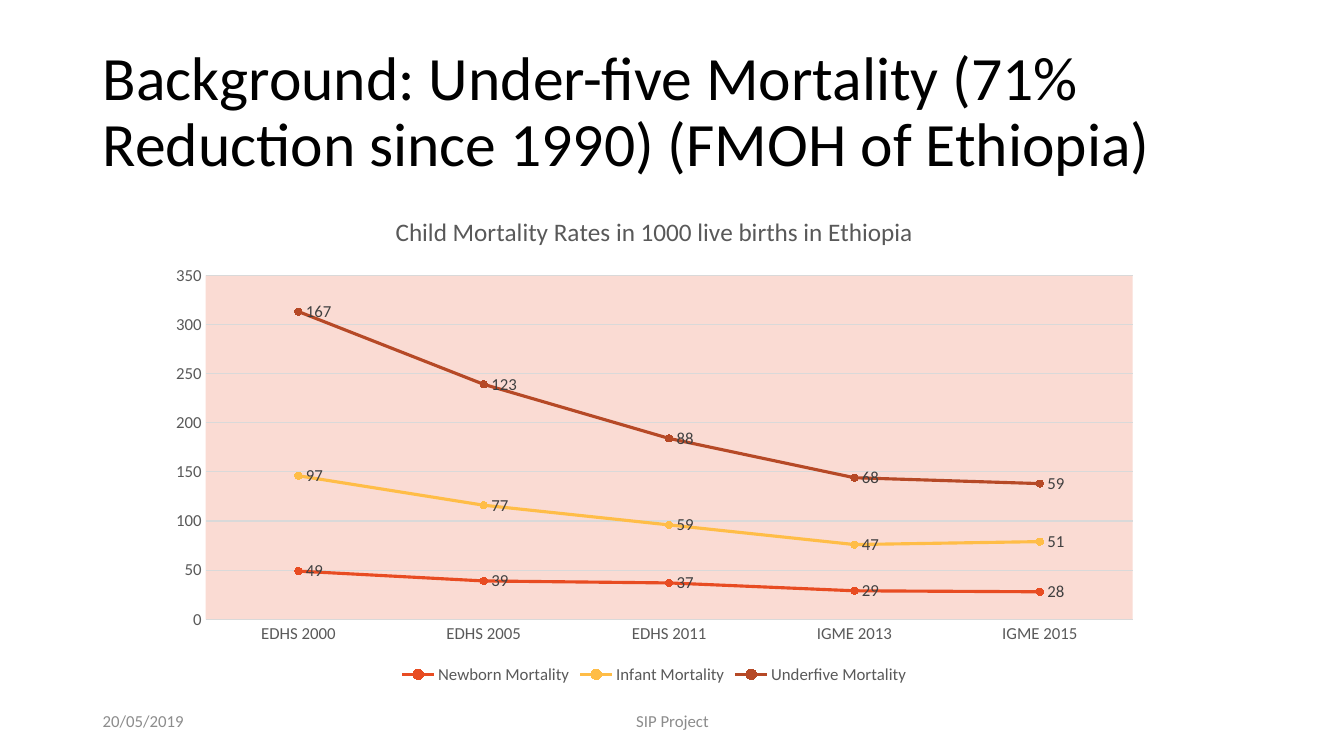
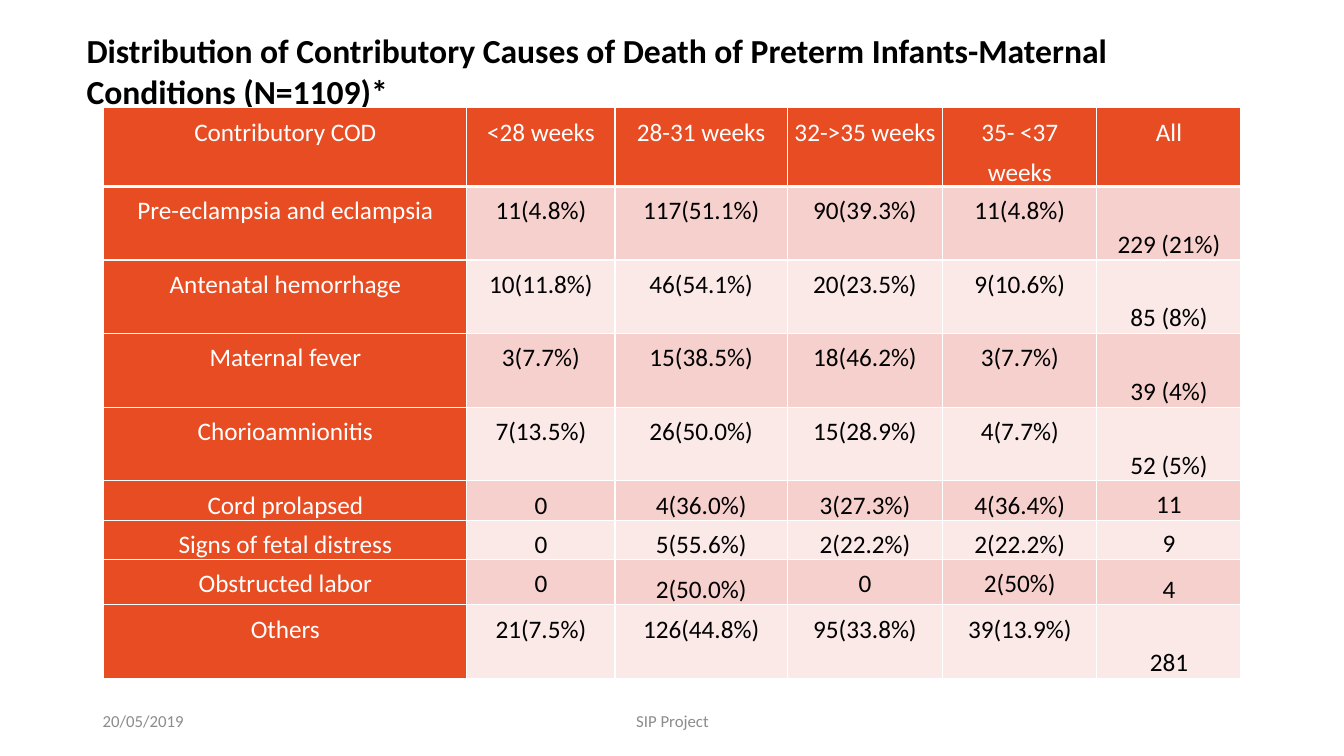
import pptx
import pptx.chart.data
import pptx.dml.color
import pptx.enum.chart
import pptx.enum.text
import pptx.oxml
import pptx.oxml.ns
import pptx.util

Inches, Pt = pptx.util.Inches, pptx.util.Pt
ALIGN = pptx.enum.text.PP_ALIGN
ANCHOR = pptx.enum.text.MSO_ANCHOR

FONT = "Calibri"
COLORS = {
    "black": "000000", "white": "FFFFFF", "footer": "8C8C8C",
    "axis": "595959", "label": "404040", "grid": "D9D9D9", "plot": "FADBD3",
    "red": "E84C22", "amber": "FFBD47", "rust": "B64926",
    "band_dark": "F6D0CD", "band_light": "FBE9E8",
}

RATE_SURVEYS = ["EDHS 2000", "EDHS 2005", "EDHS 2011", "IGME 2013", "IGME 2015"]
RATES = [
    ("Newborn Mortality", (49, 39, 37, 29, 28), "red"),
    ("Infant Mortality", (97, 77, 59, 47, 51), "amber"),
    ("Underfive Mortality", (167, 123, 88, 68, 59), "rust"),
]

CAUSE_COLS = [3.6, 1.47, 1.71, 1.54, 1.53, 1.43]
CAUSE_HEIGHTS = [0.73] * 5 + [0.35, 0.38, 0.39, 0.73]
CAUSES = [
    ["Contributory COD", "<28 weeks", "28-31 weeks", "32->35 weeks", "35- <37 weeks", "All"],
    ["Pre-eclampsia and eclampsia", "11(4.8%)", "117(51.1%)", "90(39.3%)", "11(4.8%)", "229 (21%)"],
    ["Antenatal hemorrhage", "10(11.8%)", "46(54.1%)", "20(23.5%)", "9(10.6%)", "85 (8%)"],
    ["Maternal fever", "3(7.7%)", "15(38.5%)", "18(46.2%)", "3(7.7%)", "39 (4%)"],
    ["Chorioamnionitis", "7(13.5%)", "26(50.0%)", "15(28.9%)", "4(7.7%)", "52 (5%)"],
    ["Cord prolapsed", "0", "4(36.0%)", "3(27.3%)", "4(36.4%)", "11"],
    ["Signs of fetal distress", "0", "5(55.6%)", "2(22.2%)", "2(22.2%)", "9"],
    ["Obstructed labor", "0", "2(50.0%)", "0", "2(50%)", "4"],
    ["Others", "21(7.5%)", "126(44.8%)", "95(33.8%)", "39(13.9%)", "281"],
]
WIDE_SPACED = (7, 2)  # the one cell with looser line spacing


def rgb(name):
    return pptx.dml.color.RGBColor.from_string(COLORS[name])


def set_font(font, size, color, bold=False):
    font.name, font.size, font.bold = FONT, Pt(size), bold
    font.color.rgb = rgb(color)


def set_line(line, color, width):
    line.color.rgb = rgb(color)
    line.width = Pt(width)


def write(p, text, size, color, bold=False, align=ALIGN.LEFT, spacing=1.0):
    p.alignment, p.line_spacing = align, spacing
    r = p.add_run()
    r.text = text
    set_font(r.font, size, color, bold)


def add_text(s, box, text, size, color, anchor=ANCHOR.MIDDLE, **style):
    tf = s.shapes.add_textbox(*map(Inches, box)).text_frame
    tf.word_wrap = True
    tf.vertical_anchor = anchor
    write(tf.paragraphs[0], text, size, color, **style)


def new_slide(prs):
    """Blank slide with the shared date and footer."""
    s = prs.slides.add_slide(prs.slide_layouts[6])
    add_text(s, (0.92, 6.95, 3, 0.4), "20/05/2019", 12, "footer")
    add_text(s, (4.42, 6.95, 4.5, 0.4), "SIP Project", 12, "footer", align=ALIGN.CENTER)
    return s


def add_rates_chart(s, box):
    data = pptx.chart.data.CategoryChartData()
    data.categories = RATE_SURVEYS
    for name, values, _ in RATES:
        data.add_series(name, values)
    kind = pptx.enum.chart.XL_CHART_TYPE.LINE_MARKERS_STACKED
    chart = s.shapes.add_chart(kind, *map(Inches, box), data).chart
    set_font(chart.font, 10, "black")

    # Title and legend
    chart.has_title = True
    write(chart.chart_title.text_frame.paragraphs[0],
          "Child Mortality Rates in 1000 live births in Ethiopia", 18, "axis",
          align=ALIGN.CENTER)
    chart.chart_title.include_in_layout = False
    chart.has_legend = True
    chart.legend.position = pptx.enum.chart.XL_LEGEND_POSITION.BOTTOM
    chart.legend.include_in_layout = False
    set_font(chart.legend.font, 12, "axis")

    # Axes
    for axis in (chart.category_axis, chart.value_axis):
        axis.major_tick_mark = axis.minor_tick_mark = pptx.enum.chart.XL_TICK_MARK.NONE
        set_font(axis.tick_labels.font, 12, "axis")
    set_line(chart.category_axis.format.line, "grid", 0.75)
    chart.value_axis.format.line.fill.background()
    set_line(chart.value_axis.major_gridlines.format.line, "grid", 0.75)

    # Series
    plot = chart.plots[0]
    plot.vary_by_categories = False
    for series, (_, _, color) in zip(plot.series, RATES):
        series.smooth = False
        set_line(series.format.line, color, 2.25)
        marker = series.marker
        marker.style = pptx.enum.chart.XL_MARKER_STYLE.CIRCLE
        marker.size = 5
        marker.format.fill.solid()
        marker.format.fill.fore_color.rgb = rgb(color)
        set_line(marker.format.line, color, 0.75)
        labels = series.data_labels
        labels.show_value = True
        labels.position = pptx.enum.chart.XL_LABEL_POSITION.RIGHT
        set_font(labels.font, 12, "label")

    # Plot background
    chart._chartSpace.chart.plotArea.append(pptx.oxml.parse_xml(
        f'<c:spPr {pptx.oxml.ns.nsdecls("c", "a")}><a:solidFill>'
        f'<a:srgbClr val="{COLORS["plot"]}"/></a:solidFill></c:spPr>'))


def set_borders(cell, bottom):
    tc_pr = cell._tc.get_or_add_tcPr()
    for i, (side, width) in enumerate(zip("LRTB", (1, 1, 1, bottom))):
        tc_pr.insert(i, pptx.oxml.parse_xml(
            f'<a:ln{side} {pptx.oxml.ns.nsdecls("a")} w="{Pt(width)}"><a:solidFill>'
            f'<a:srgbClr val="{COLORS["white"]}"/></a:solidFill></a:ln{side}>'))


def add_causes_table(s, left, top):
    size = (sum(CAUSE_COLS), sum(CAUSE_HEIGHTS))
    table = s.shapes.add_table(len(CAUSES), len(CAUSE_COLS),
                               *map(Inches, (left, top, *size))).table
    table.first_row = table.horz_banding = False
    for col, width in zip(table.columns, CAUSE_COLS):
        col.width = Inches(width)
    for i, (row, height) in enumerate(zip(table.rows, CAUSE_HEIGHTS)):
        row.height = Inches(height)
        for j, cell in enumerate(row.cells):
            heading = i == 0 or j == 0
            total = i > 0 and j == len(CAUSE_COLS) - 1
            band = "band_dark" if i % 2 else "band_light"
            cell.margin_left = cell.margin_right = Inches(0.07)
            cell.margin_top = cell.margin_bottom = 0
            cell.vertical_anchor = ANCHOR.BOTTOM if total else ANCHOR.TOP
            cell.fill.solid()
            cell.fill.fore_color.rgb = rgb("red" if heading else band)
            set_borders(cell, 3 if i == 0 else 1)
            spacing = 1.5 if (i, j) == WIDE_SPACED else 1.15 if total else 1.3
            write(cell.text_frame.paragraphs[0], CAUSES[i][j], 18,
                  "white" if heading else "black", align=ALIGN.CENTER, spacing=spacing)


def build_rates_slide(prs):
    s = new_slide(prs)
    add_text(s, (0.92, 0.4, 11.5, 1.45),
             "Background: Under-five Mortality (71% Reduction since 1990) (FMOH of Ethiopia)",
             44, "black", spacing=0.9)
    add_rates_chart(s, (1.55, 1.93, 9.88, 4.9))


def build_causes_slide(prs):
    s = new_slide(prs)
    add_text(s, (0.76, 0.25, 11.55, 0.91),
             "Distribution of Contributory Causes of Death of Preterm Infants-Maternal "
             "Conditions (N=1109)*", 24, "black", anchor=ANCHOR.TOP, bold=True)
    add_causes_table(s, 1.03, 1.07)


def main():
    prs = pptx.Presentation()
    prs.slide_width, prs.slide_height = Inches(13.33), Inches(7.5)
    build_rates_slide(prs)
    build_causes_slide(prs)
    prs.save("out.pptx")


if __name__ == "__main__":
    main()
